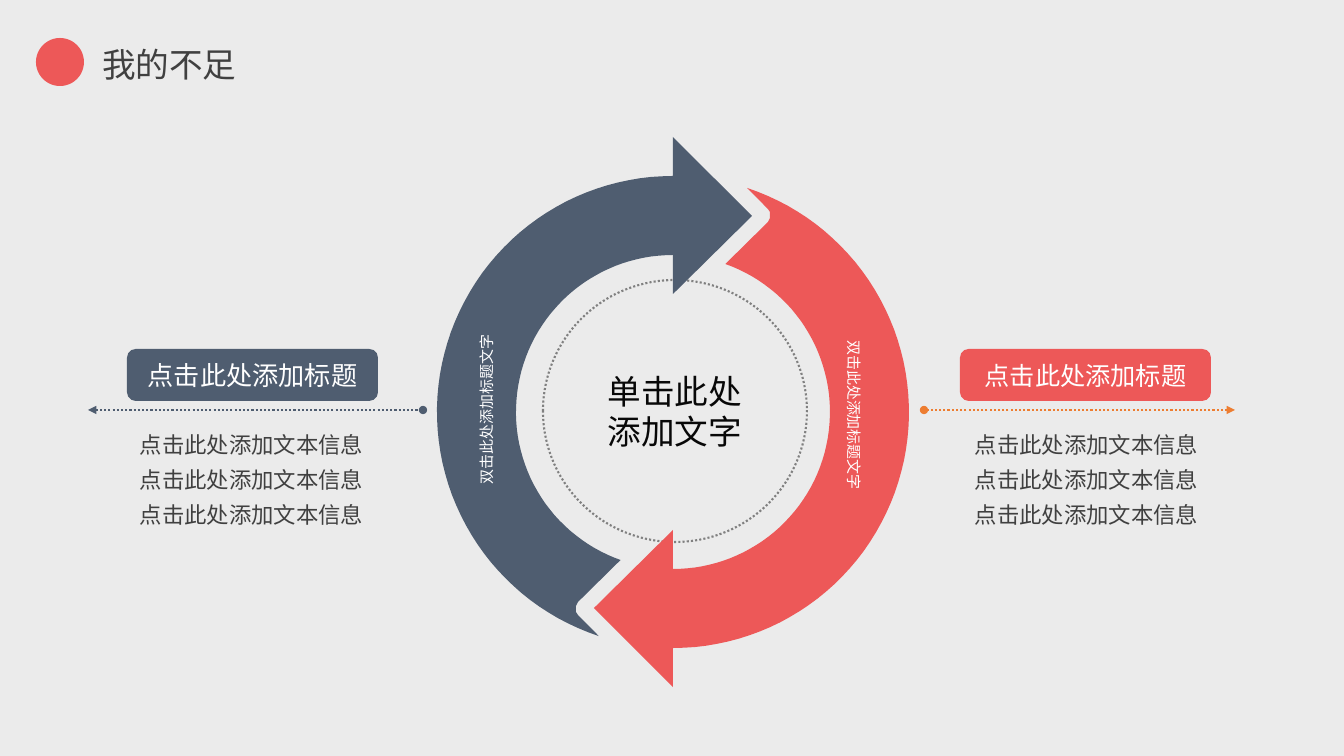
from math import cos, radians, sin

from lxml import etree
from pptx import Presentation
from pptx.dml.color import RGBColor
from pptx.enum.dml import MSO_LINE
from pptx.enum.shapes import MSO_CONNECTOR, MSO_SHAPE
from pptx.enum.text import MSO_ANCHOR, MSO_AUTO_SIZE, PP_ALIGN
from pptx.oxml.ns import qn
from pptx.util import Emu, Pt

PX = 914400 / 100.8
FONT = "Noto Sans CJK SC"
CENTER, LEFT = PP_ALIGN.CENTER, PP_ALIGN.LEFT
TOP, MIDDLE = MSO_ANCHOR.TOP, MSO_ANCHOR.MIDDLE
DOTTED = MSO_LINE.ROUND_DOT
LINE_WIDTH = Pt(1.5)

BACKGROUND = RGBColor(0xEB, 0xEB, 0xEB)
RED = RGBColor(0xED, 0x58, 0x58)
SLATE = RGBColor(0x4F, 0x5D, 0x70)
ORANGE = RGBColor(0xED, 0x7D, 0x31)
GRAY = RGBColor(0x80, 0x80, 0x80)
DARK = RGBColor(0x40, 0x40, 0x40)
BLACK = RGBColor(0x08, 0x08, 0x08)
WHITE = RGBColor(0xFF, 0xFF, 0xFF)

# Ring of two arrows, measured from its centre
RING_CENTER = (673, 412)
OUTER_RADIUS, INNER_RADIUS = 236, 157
NOTCH = [(-95, 203), (-97, 200), (-97, 194), (-95, 190)]
ARROW_HEAD = [(0, -118), (79, -196), (0, -275)]


def box(left, top, width, height):
    return [Emu(round(value * PX)) for value in (left, top, width, height)]


def write_text(shape, lines, *, size, color, align=LEFT, anchor=TOP, spacing=None,
               grow=False):
    frame = shape.text_frame
    frame.text = "\n".join(lines)
    frame.word_wrap = False
    frame.vertical_anchor = anchor
    frame.auto_size = MSO_AUTO_SIZE.SHAPE_TO_FIT_TEXT if grow else MSO_AUTO_SIZE.NONE
    for paragraph in frame.paragraphs:
        paragraph.alignment = align
        paragraph.line_spacing = spacing
        font = paragraph.runs[0].font
        font.size = Pt(size)
        font.color.rgb = color
        font.name = FONT
        east_asian = etree.SubElement(font._element, qn("a:ea"))
        east_asian.set("typeface", FONT)


def add_text(slide, place, lines, *, rotation=0, **text_format):
    shape = slide.shapes.add_textbox(*box(*place))
    shape.rotation = rotation
    write_text(shape, lines, **text_format)


def add_filled(slide, kind, place, color):
    shape = slide.shapes.add_shape(kind, *box(*place))
    shape.shadow.inherit = False
    shape.fill.solid()
    shape.fill.fore_color.rgb = color
    shape.line.fill.background()
    return shape


def add_dotted_circle(slide, place, lines):
    shape = slide.shapes.add_shape(MSO_SHAPE.OVAL, *box(*place))
    shape.shadow.inherit = False
    shape.fill.background()
    shape.line.color.rgb = GRAY
    shape.line.width = LINE_WIDTH
    shape.line.dash_style = DOTTED
    write_text(shape, lines, size=24, color=BLACK, align=CENTER, anchor=MIDDLE)


def arc(radius, start, end, steps=60):
    angles = [radians(start + (end - start) * i / steps) for i in range(steps + 1)]
    return [(radius * cos(angle), radius * sin(angle)) for angle in angles]


def add_ring_arrow(slide, color, sign):
    """Half of the ring; sign -1 turns it by half a circle."""
    outline = (arc(OUTER_RADIUS, 270, 108.3) + NOTCH
               + arc(INNER_RADIUS, 109.5, 270) + ARROW_HEAD)
    center_x, center_y = RING_CENTER
    # Tenths of a px keep the arcs smooth
    points = [(10 * (center_x + sign * x), 10 * (center_y + sign * y))
              for x, y in outline]
    builder = slide.shapes.build_freeform(*points[0], scale=PX / 10)
    builder.add_line_segments(points[1:], close=True)
    shape = builder.convert_to_shape()
    shape.shadow.inherit = False
    shape.fill.solid()
    shape.fill.fore_color.rgb = color
    shape.line.fill.background()


def add_pointer(slide, tip_x, dot_x, y, color):
    ends = box(tip_x, y, dot_x, y)
    connector = slide.shapes.add_connector(MSO_CONNECTOR.STRAIGHT, *ends)
    connector.line.color.rgb = color
    connector.line.width = LINE_WIDTH
    connector.line.dash_style = DOTTED
    outline = connector.line._get_or_add_ln()
    for tag, kind in (("a:headEnd", "triangle"), ("a:tailEnd", "oval")):
        etree.SubElement(outline, qn(tag)).set("type", kind)
    etree.SubElement(connector._element.spPr, qn("a:effectLst"))


def add_note(slide, label_left, text_left, tip_x, dot_x, label_size, color, line_color):
    label = add_filled(slide, MSO_SHAPE.ROUNDED_RECTANGLE,
                       (label_left, 349, 251, 52), color)
    write_text(label, ["点击此处添加标题"], size=label_size, color=WHITE,
               align=CENTER, anchor=MIDDLE)
    add_pointer(slide, tip_x, dot_x, 410, line_color)
    add_text(slide, (text_left, 418, 247, 116), ["点击此处添加文本信息"] * 3,
             size=16, color=DARK, spacing=1.3, grow=True)


def main():
    presentation = Presentation()
    presentation.slide_width, presentation.slide_height = box(0, 0, 1344, 756)[2:]
    slide = presentation.slides.add_slide(presentation.slide_layouts[5])
    slide.background.fill.solid()
    slide.background.fill.fore_color.rgb = BACKGROUND

    # Heading
    add_filled(slide, MSO_SHAPE.FLOWCHART_CONNECTOR, (36, 38, 48, 48), RED)
    title = slide.shapes.title
    title.left, title.top, title.width, title.height = box(92, 39, 156, 50)
    write_text(title, ["我的不足"], size=24, color=DARK, grow=True)

    # Ring with its centre and labels
    add_dotted_circle(slide, (543, 280, 264, 262), ["单击此处", "添加文字"])
    add_ring_arrow(slide, SLATE, 1)
    add_ring_arrow(slide, RED, -1)
    for place, rotation in (((462, 264, 313, 291), 270), ((523, 247, 355, 336), 90)):
        add_text(slide, place, ["双击此处添加标题文字"], rotation=rotation,
                 size=10.7, color=WHITE, align=CENTER)

    # Notes on both sides
    add_note(slide, 960, 965, 1235, 924, 18, RED, ORANGE)
    add_note(slide, 127, 130, 88, 423, 18.7, SLATE, SLATE)

    presentation.save("out.pptx")


if __name__ == "__main__":
    main()
